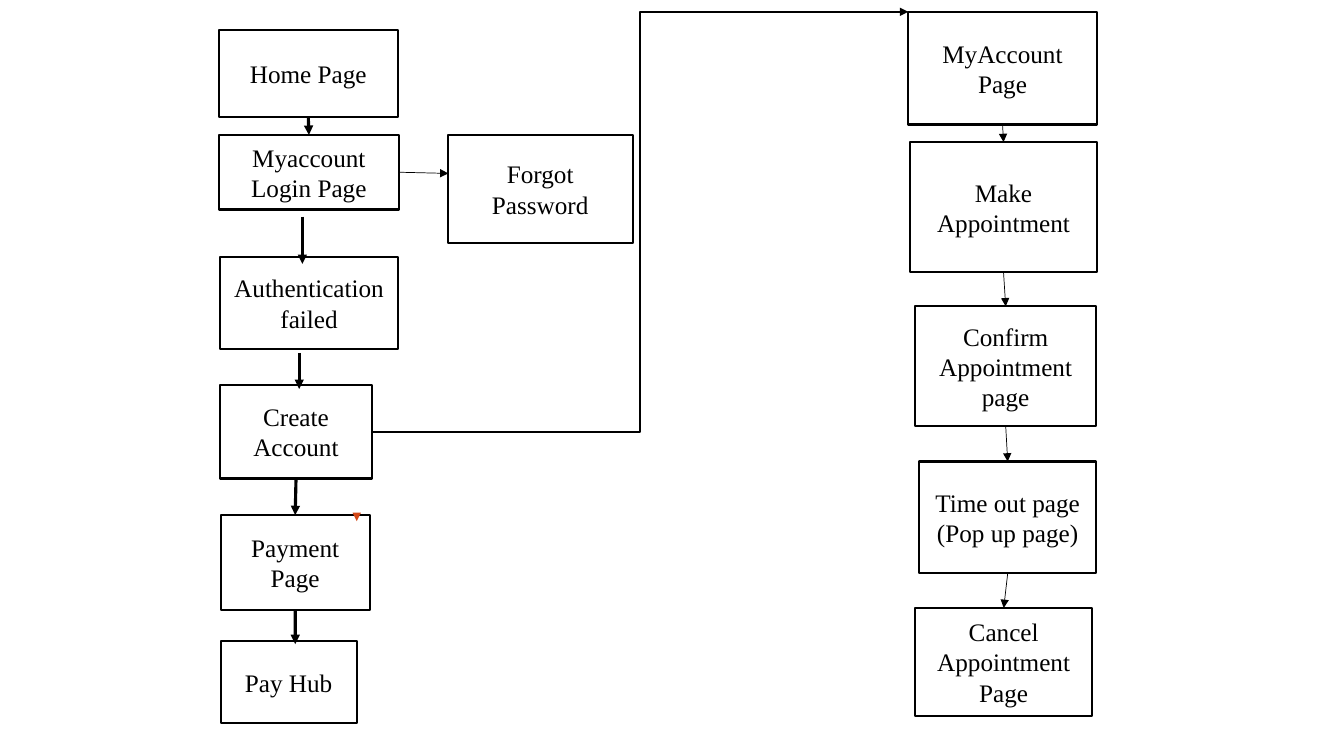
from pptx import Presentation
from pptx.dml.color import RGBColor
from pptx.enum.shapes import MSO_CONNECTOR, MSO_SHAPE
from pptx.enum.text import MSO_ANCHOR, PP_ALIGN
from pptx.oxml.ns import qn
from pptx.util import Cm, Pt
from lxml import etree

RECTANGLE = MSO_SHAPE.RECTANGLE
STRAIGHT, ELBOW = MSO_CONNECTOR.STRAIGHT, MSO_CONNECTOR.ELBOW
MIDDLE, CENTER = MSO_ANCHOR.MIDDLE, PP_ALIGN.CENTER
TOP, LEFT, BOTTOM, RIGHT = range(4)
THIN, MEDIUM, THICK = 0.5, 1.5, 2.25
BLACK, ORANGE = "000000", "D34817"

PAGES = {
    "Home Page": (5.51, 0.76, 4.52, 2.18),
    "Myaccount Login Page": (5.51, 3.4, 4.55, 1.88),
    "Authentication failed": (5.54, 6.48, 4.5, 2.31),
    "Forgot Password": (11.28, 3.4, 4.67, 2.72),
    "Create Account": (5.54, 9.7, 3.84, 2.36),
    "Payment Page": (5.56, 12.98, 3.76, 2.39),
    "Pay Hub": (5.56, 16.15, 3.43, 2.08),
    "MyAccount Page": (22.89, 0.3, 4.75, 2.84),
    "Make Appointment": (22.94, 3.58, 4.7, 3.28),
    "Confirm Appointment page": (23.06, 7.72, 4.57, 3.02),
    "Time out page (Pop up page)": (23.16, 11.63, 4.47, 2.82),
    "Cancel Appointment Page": (23.06, 15.32, 4.47, 2.72),
}
DOWNWARD_STEPS = [
    ("Home Page", "Myaccount Login Page", THICK),
    ("Create Account", "Payment Page", THICK),
    ("MyAccount Page", "Make Appointment", THIN),
    ("Make Appointment", "Confirm Appointment page", THIN),
    ("Confirm Appointment page", "Time out page (Pop up page)", THIN),
    ("Time out page (Pop up page)", "Cancel Appointment Page", THIN),
]
BRANCHES = [
    ("Payment Page", BOTTOM, (7.44, 16.23), THICK, STRAIGHT),
    ("Myaccount Login Page", RIGHT, (11.3, 4.37), THIN, STRAIGHT),
    ("Create Account", RIGHT, (22.89, 0.3), MEDIUM, ELBOW),
]
FREE_ARROWS = [
    ((7.62, 5.46), (7.62, 6.65), THICK, BLACK),
    ((7.54, 8.89), (7.54, 9.8), THICK, BLACK),
    ((8.99, 12.98), (8.99, 13.13), THIN, ORANGE),
]


def color(value):
    return RGBColor.from_string(value)


class FlowChart:
    """Draws page boxes and arrows in one style on one slide."""

    font_format = {"name": "Times New Roman", "size": Pt(18)}
    frame_format = {"word_wrap": True, "vertical_anchor": MIDDLE}

    def __init__(self, slide):
        self.slide = slide

    def stroke(self, line, width, hue=BLACK):
        line.width = Pt(width)
        line.color.rgb = color(hue)

    def page(self, label, bounds):
        box = self.slide.shapes.add_shape(RECTANGLE, *map(Cm, bounds))
        box.shadow.inherit = False
        box.fill.background()
        self.stroke(box.line, MEDIUM)
        frame = box.text_frame
        frame.text = label
        paragraph = frame.paragraphs[0]
        paragraph.alignment = CENTER
        paragraph.font.color.rgb = color(BLACK)
        for target, values in ((frame, self.frame_format), (paragraph.font, self.font_format)):
            for name, value in values.items():
                setattr(target, name, value)
        return box

    def arrow(self, start, end, width, hue=BLACK, kind=STRAIGHT, source=None, target=None):
        link = self.slide.shapes.add_connector(kind, *map(Cm, (*start, *end)))
        if source:
            link.begin_connect(*source)
        if target:
            link.end_connect(*target)
        self.stroke(link.line, width, hue)
        outline = link.line._get_or_add_ln()
        etree.SubElement(outline, qn("a:tailEnd"), type="triangle")
        etree.SubElement(link._element.spPr, qn("a:effectLst"))


def main():
    deck = Presentation()
    deck.slide_width, deck.slide_height = Cm(33.87), Cm(19.05)
    chart = FlowChart(deck.slides.add_slide(deck.slide_layouts[6]))
    boxes = {label: chart.page(label, bounds) for label, bounds in PAGES.items()}
    for upper, lower, width in DOWNWARD_STEPS:
        chart.arrow((0, 0), (0, 0), width,
                    source=(boxes[upper], BOTTOM), target=(boxes[lower], TOP))
    for page, side, end, width, kind in BRANCHES:
        left, top, across, down = PAGES[page]
        start = (left + across, top + down / 2) if side == RIGHT else (left + across / 2, top + down)
        chart.arrow(start, end, width, kind=kind, source=(boxes[page], side))
    for start, end, width, hue in FREE_ARROWS:
        chart.arrow(start, end, width, hue)
    deck.save("out.pptx")


if __name__ == "__main__":
    main()
